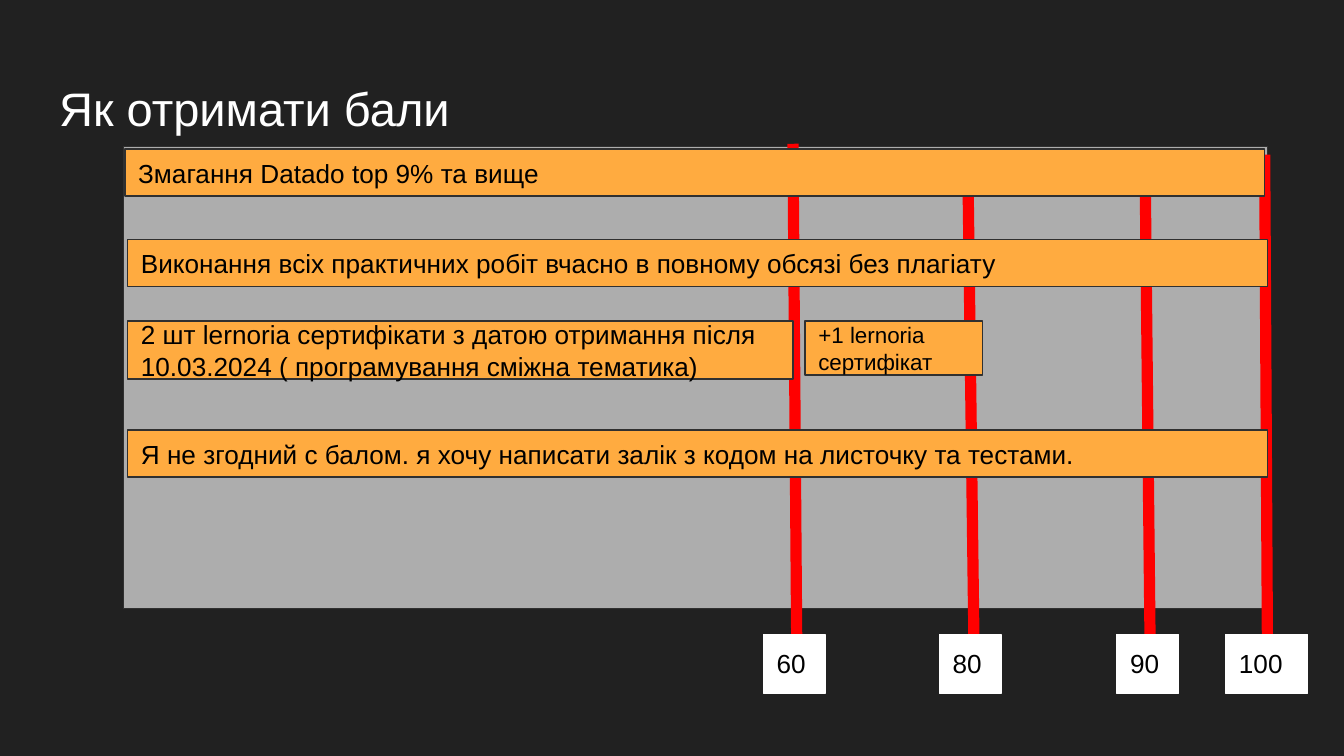
from pptx import Presentation
from pptx.dml.color import RGBColor
from pptx.enum import shapes, text
from pptx.oxml.ns import qn
from pptx.util import Inches, Pt
from lxml import etree

BACKGROUND, PANEL, BAR = "212121", "ADADAD", "FFAB40"
OUTLINE, MARKER, WHITE, BLACK = "303030", "FF0000", "FFFFFF", "000000"


def color(value):
    return RGBColor.from_string(value)


def write(shape, words, size, ink, anchor):
    frame = shape.text_frame
    frame.text = words
    frame.word_wrap = True
    frame.auto_size = text.MSO_AUTO_SIZE.NONE
    frame.vertical_anchor = anchor
    frame.margin_left = frame.margin_right = Inches(0.1)
    frame.margin_top = frame.margin_bottom = Inches(0.1)
    para = frame.paragraphs[0]
    para.alignment = text.PP_ALIGN.LEFT
    font = para.runs[0].font
    font.name, font.size = "Arial", Pt(size)
    font.color.rgb = color(ink)


def add_box(page, box, fill, line, words="", size=14, anchor=text.MSO_ANCHOR.MIDDLE):
    shape = page.shapes.add_shape(shapes.MSO_SHAPE.RECTANGLE, *map(Inches, box))
    shape.shadow.inherit = False
    shape.fill.solid()
    shape.fill.fore_color.rgb = color(fill)
    shape.line.color.rgb = color(line)
    shape.line.width = Pt(0.75)
    if words:
        write(shape, words, size, BLACK, anchor)


def add_marker(page, start, end):
    line = page.shapes.add_connector(
        shapes.MSO_CONNECTOR.STRAIGHT, *map(Inches, start + end))
    line.line.color.rgb = color(MARKER)
    line.line.width = Pt(6)
    etree.SubElement(line._element.spPr, qn("a:effectLst"))


def add_title(page, box, words):
    title = page.shapes.title
    title.left, title.top, title.width, title.height = map(Inches, box)
    write(title, words, 25.2, WHITE, text.MSO_ANCHOR.TOP)


def add_score_chart(page, box):
    left, top, width, height = box
    add_box(page, box, PANEL, OUTLINE)

    # Score thresholds: label, label offset and width, line start and end
    thresholds = [
        ("60", 4.76, 0.46, (4.98, -0.02), (5.01, 3.95)),
        ("80", 6.07, 0.46, (6.28, 0.04), (6.33, 3.95)),
        ("90", 7.39, 0.46, (7.6, 0.11), (7.64, 3.95)),
        ("100", 8.2, 0.61, (8.49, 0.06), (8.51, 3.63)),
    ]
    for label, offset, label_width, start, end in thresholds:
        add_marker(page, (left + start[0], top + start[1]),
                   (left + end[0], top + end[1]))
        add_box(page, (left + offset, top + height + 0.19, label_width, 0.44),
                WHITE, WHITE, label, anchor=text.MSO_ANCHOR.TOP)

    # Ways to earn points: offset x, offset y, width, height, size, wording
    bars = [
        (0.01, 0.02, 8.48, 0.35, 14, "Змагання Datado top 9% та вище"),
        (0.03, 0.69, 8.48, 0.35, 14,
         "Виконання всіх практичних робіт вчасно в повному обсязі без плагіату"),
        (0.03, 1.3, 4.95, 0.43, 14,
         "2 шт lernoria сертифікати з датою отримання після 10.03.2024 "
         "( програмування сміжна тематика)"),
        (0.03, 2.11, 8.48, 0.35, 14,
         "Я не згодний с балом. я хочу написати залік з кодом на листочку та тестами."),
        (5.07, 1.3, 1.32, 0.4, 12, "+1 lernoria сертифікат"),
    ]
    for x, y, bar_width, bar_height, size, words in bars:
        add_box(page, (left + x, top + y, bar_width, bar_height),
                BAR, OUTLINE, words, size)


def main():
    deck = Presentation()
    # Widescreen page, 16:9
    deck.slide_width = Inches(10)
    deck.slide_height = deck.slide_width * 9 // 16
    page = deck.slides.add_slide(deck.slide_layouts[5])
    page.background.fill.solid()
    page.background.fill.fore_color.rgb = color(BACKGROUND)
    add_title(page, (0.34, 0.49, 9.32, 0.63), "Як отримати бали")
    add_score_chart(page, (0.92, 1.09, 8.51, 3.44))
    deck.save("out.pptx")


if __name__ == "__main__":
    main()
